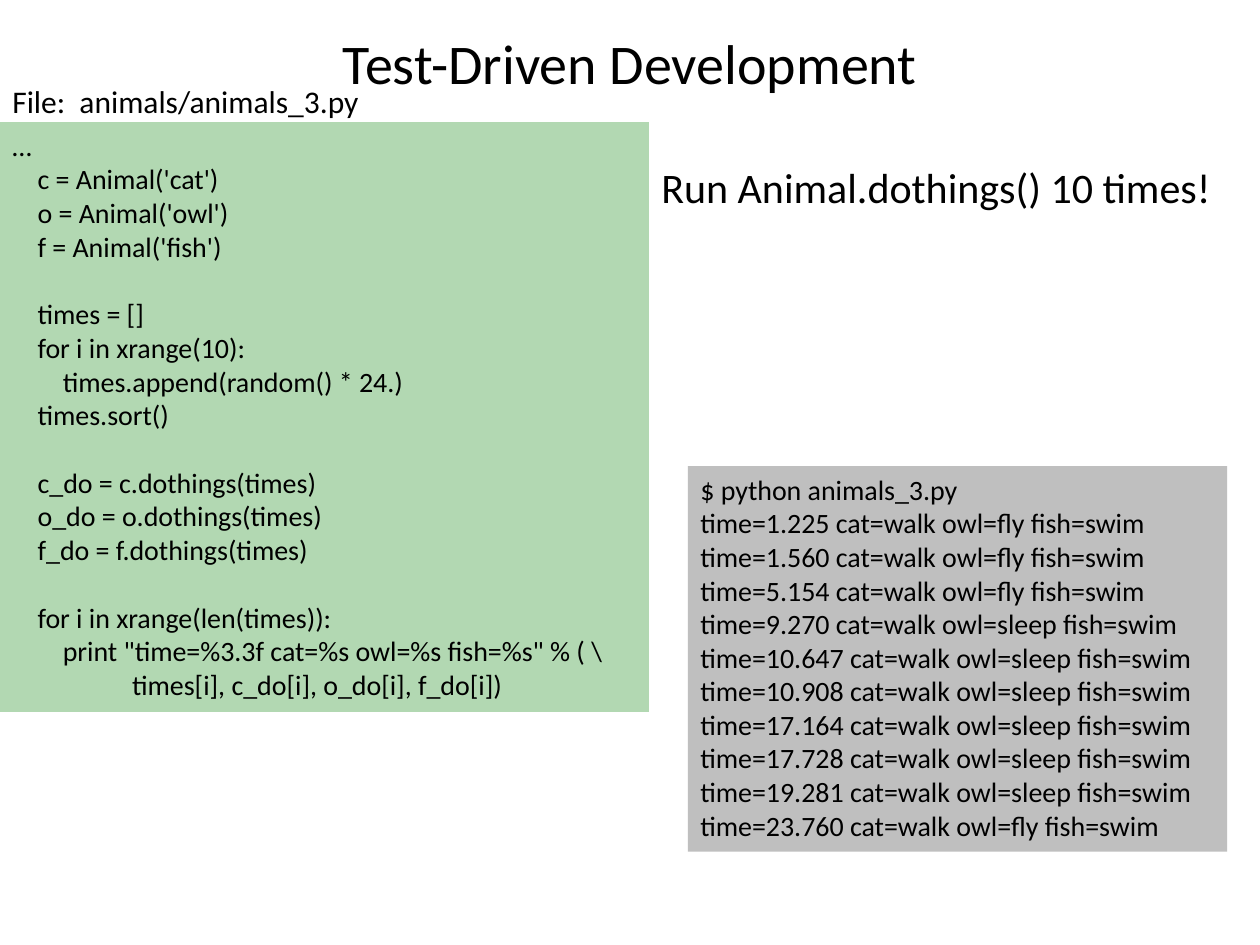
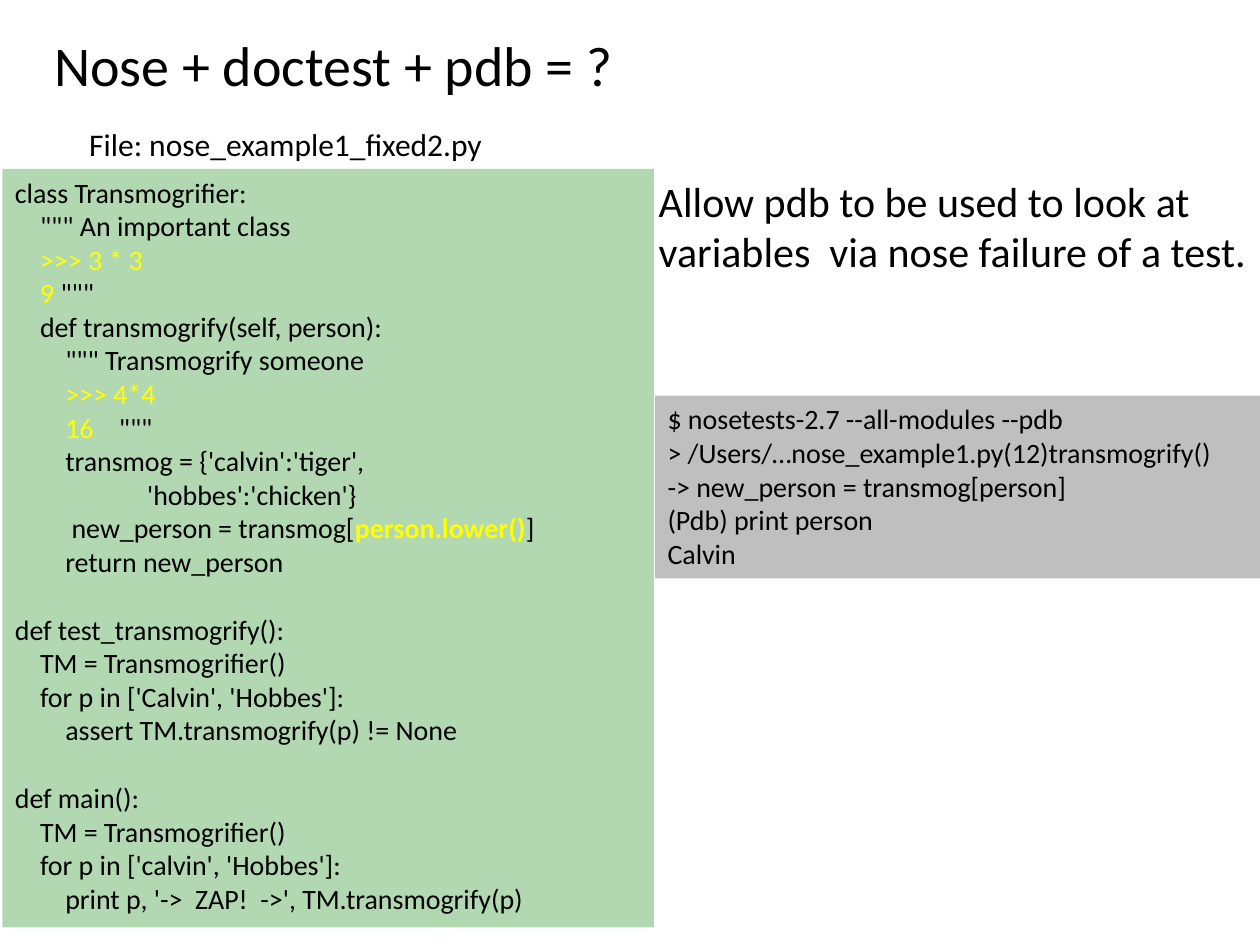
import pptx
import pptx.dml.color
import pptx.enum.shapes
import pptx.enum.text
import pptx.util
from lxml import etree
from pptx.oxml.ns import qn

Inches, Pt = pptx.util.Inches, pptx.util.Pt
RGBColor = pptx.dml.color.RGBColor
ALIGN = pptx.enum.text.PP_ALIGN

BLACK = RGBColor(0x00, 0x00, 0x00)
YELLOW = RGBColor(0xFF, 0xFF, 0x00)
GREEN = RGBColor(0x00, 0x80, 0x00)
GREY = RGBColor(0xBF, 0xBF, 0xBF)

FONT = "Calibri"
TITLE_SIZE, NOTE_SIZE, FILE_SIZE, CODE_SIZE = 32, 24, 18, 16
SPACE_WIDTH = 0.05   # one column of code indent, in inches
CODE_LINE = 19.5     # height of one code line, in points
CODE_OPACITY = 30    # percent
BOLD_SPAN = "person.lower()"

ANIMALS_CODE = r'''
…
    c = Animal('cat')
    o = Animal('owl')
    f = Animal('fish')

    times = []
    for i in xrange(10):
        times.append(random() * 24.)
    times.sort()

    c_do = c.dothings(times)
    o_do = o.dothings(times)
    f_do = f.dothings(times)

    for i in xrange(len(times)):
        print "time=%3.3f cat=%s owl=%s fish=%s" % ( \
                   times[i], c_do[i], o_do[i], f_do[i])
'''

ANIMALS_OUTPUT = '''
$ python animals_3.py
time=1.225 cat=walk owl=fly fish=swim
time=1.560 cat=walk owl=fly fish=swim
time=5.154 cat=walk owl=fly fish=swim
time=9.270 cat=walk owl=sleep fish=swim
time=10.647 cat=walk owl=sleep fish=swim
time=10.908 cat=walk owl=sleep fish=swim
time=17.164 cat=walk owl=sleep fish=swim
time=17.728 cat=walk owl=sleep fish=swim
time=19.281 cat=walk owl=sleep fish=swim
time=23.760 cat=walk owl=fly fish=swim
'''

# Bars enclose highlighted code.
TRANSMOGRIFIER_CODE = '''
class Transmogrifier:
    """ An important class
    |>>> 3 * 3|
    |9 |"""
    def transmogrify(self, person):
        """ Transmogrify someone
        |>>> 4*4|
        |16    |"""
        transmog = {'calvin':'tiger',
                     'hobbes':'chicken'}
         new_person = transmog[|person.lower()|]
        return new_person

def test_transmogrify():
    TM = Transmogrifier()
    for p in ['Calvin', 'Hobbes']:
        assert TM.transmogrify(p) != None

def main():
    TM = Transmogrifier()
    for p in ['calvin', 'Hobbes']:
        print p, '->  ZAP!  ->', TM.transmogrify(p)
'''

PDB_OUTPUT = '''
$ nosetests-2.7 --all-modules --pdb
> /Users/…nose_example1.py(12)transmogrify()
-> new_person = transmog[person]
(Pdb) print person
Calvin
'''

# Each part is its text followed by its place: left, top, width, height.
SLIDES = [
    {
        "title": ("Test-Driven Development", (2.01, 0.22, 5.98, 0.54)),
        "title_align": ALIGN.CENTER,
        "code": (ANIMALS_CODE, (0, 0.97, 5.15, 4.68)),
        "file": ("File:  animals/animals_3.py", (0, 0.6, 2.96, 0.4)),
        "note": ("Run Animal.dothings() 10 times!", (5.15, 1.23, 4.72, 0.5)),
        "output": (ANIMALS_OUTPUT, (5.46, 3.7, 4.28, 3.06)),
    },
    {
        "title": ("Nose + doctest + pdb = ?", (0.43, 0.24, 4.48, 0.54)),
        "title_align": ALIGN.LEFT,
        "code": (TRANSMOGRIFIER_CODE, (0.02, 1.34, 5.17, 6.02)),
        "file": ("File: nose_example1_fixed2.py", (0.61, 0.94, 3.48, 0.4)),
        "note": ("Allow pdb to be used to look at variables  via nose failure of a test.",
                 (5.13, 1.34, 5, 0.91)),
        "output": (PDB_OUTPUT, (5.2, 3.14, 4.8, 1.45)),
    },
]


def style_span(span, size, color=BLACK, bold=False):
    span.font.name = FONT
    span.font.size = Pt(size)
    span.font.color.rgb = color
    span.font.bold = bold


def add_title(page, text, place, align):
    title = page.shapes.title
    title.left, title.top, title.width, title.height = map(Inches, place)
    frame = title.text_frame
    frame.text = text
    frame.margin_left = frame.margin_right = frame.margin_top = frame.margin_bottom = 0
    frame.vertical_anchor = pptx.enum.text.MSO_ANCHOR.MIDDLE
    frame.auto_size = pptx.enum.text.MSO_AUTO_SIZE.NONE
    frame.word_wrap = align == ALIGN.CENTER
    frame.paragraphs[0].alignment = align
    style_span(frame.paragraphs[0].runs[0], TITLE_SIZE)


def add_label(page, text, place, size):
    box = page.shapes.add_textbox(*map(Inches, place))
    box.text_frame.word_wrap = True
    box.text_frame.text = text
    style_span(box.text_frame.paragraphs[0].runs[0], size)


def write_code(frame, code):
    """Turn leading spaces into indents, blank lines into spacing, bars into highlights."""
    para, gap = frame.paragraphs[0], 0
    for number, line in enumerate(code.strip().splitlines()):
        text = line.lstrip()
        if not text:
            gap += CODE_LINE
            continue
        if number:
            para = frame.add_paragraph()
        para.alignment = ALIGN.LEFT
        para.space_before, gap = Pt(gap), 0
        indent = Inches(SPACE_WIDTH * (len(line) - len(text)))
        para._p.get_or_add_pPr().set("marL", str(indent))
        for index, piece in enumerate(text.split("|")):
            if piece:
                span = para.add_run()
                span.text = piece
                style_span(span, CODE_SIZE, YELLOW if index % 2 else BLACK, piece == BOLD_SPAN)


def add_panel(page, code, place, color, opacity=100):
    panel = page.shapes.add_shape(pptx.enum.shapes.MSO_SHAPE.RECTANGLE, *map(Inches, place))
    panel.shadow.inherit = False
    panel.line.fill.background()
    panel.fill.solid()
    panel.fill.fore_color.rgb = color
    if opacity < 100:
        fill_color = panel._element.spPr.find(qn("a:solidFill"))[0]
        etree.SubElement(fill_color, qn("a:alpha")).set("val", str(opacity * 1000))
    panel.text_frame.word_wrap = True
    panel.text_frame.vertical_anchor = pptx.enum.text.MSO_ANCHOR.TOP
    write_code(panel.text_frame, code)


def main():
    deck = pptx.Presentation()
    deck.slide_width, deck.slide_height = Inches(10), Inches(7.5)
    title_only = deck.slide_layouts[5]
    for content in SLIDES:
        page = deck.slides.add_slide(title_only)
        add_title(page, *content["title"], content["title_align"])
        add_panel(page, *content["code"], GREEN, CODE_OPACITY)
        add_label(page, *content["file"], FILE_SIZE)
        add_panel(page, *content["output"], GREY)
        add_label(page, *content["note"], NOTE_SIZE)
    deck.save("out.pptx")


if __name__ == "__main__":
    main()
